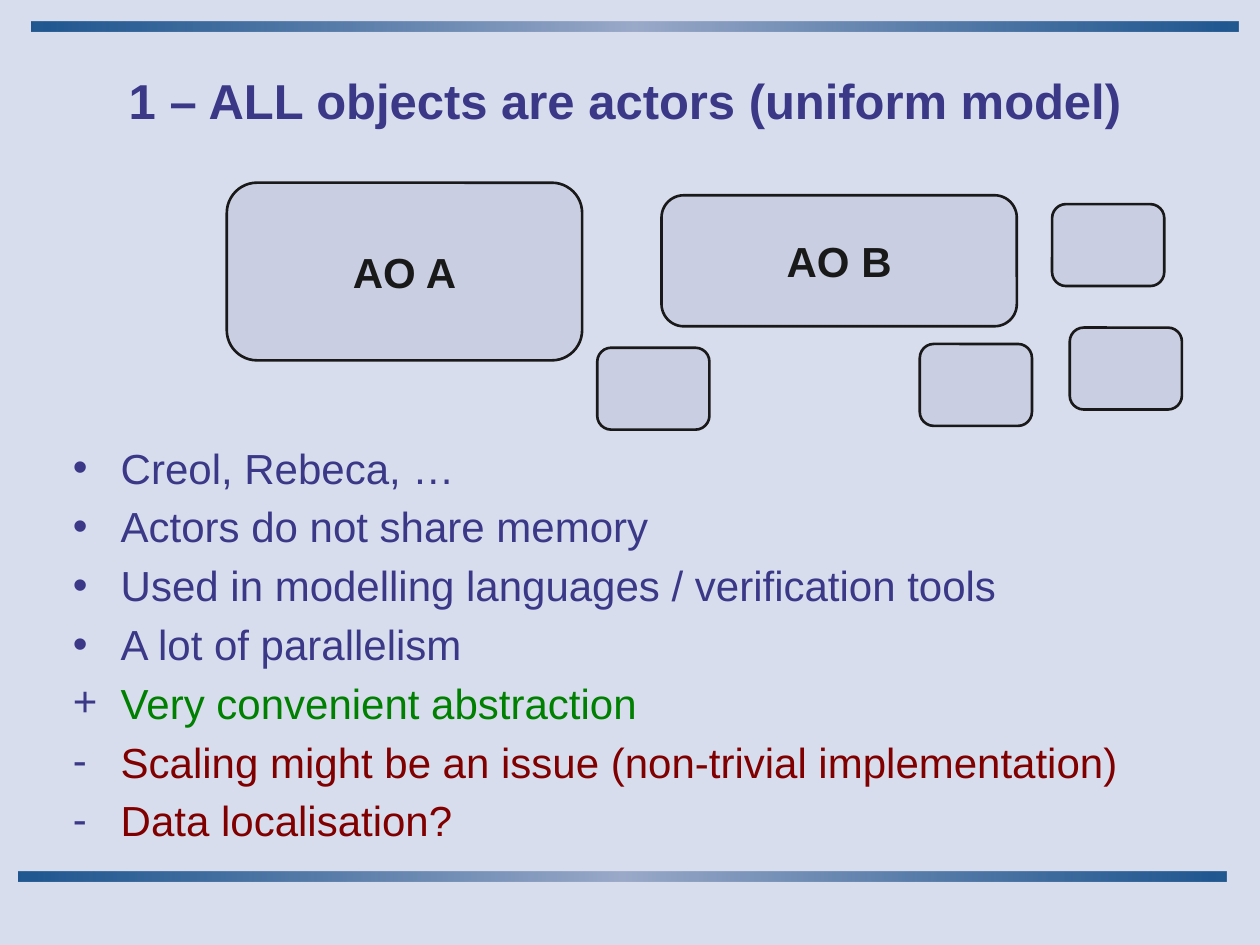
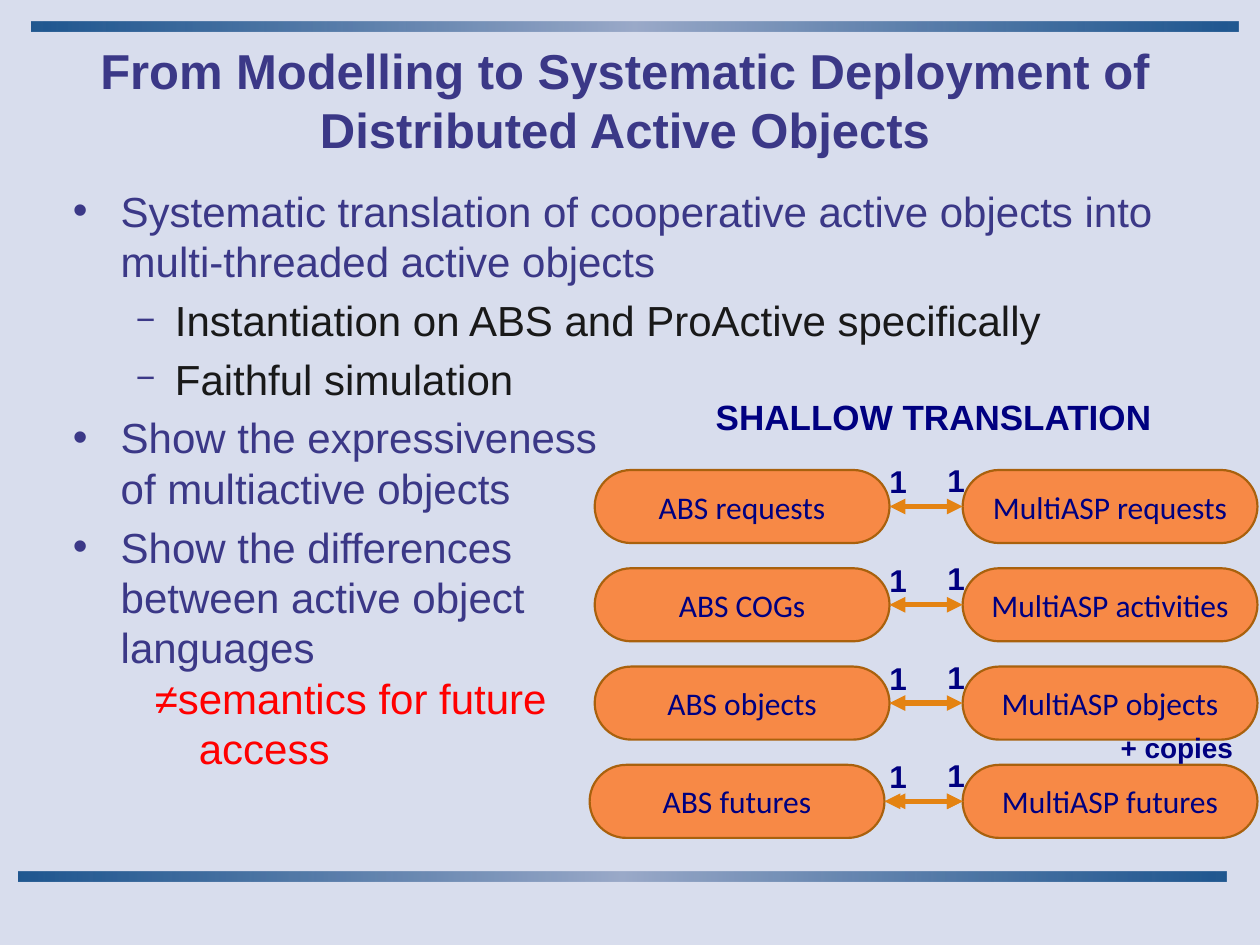
from dataclasses import dataclass

from lxml import etree
from pptx import Presentation
from pptx import util as u
from pptx.dml import color
from pptx.enum import shapes, text
from pptx.oxml import ns

Inches = u.Inches


@dataclass(frozen=True)
class Theme:
    background: str = "D8DDED"
    band_edge: str = "004080"
    band_middle: str = "9BAAC9"
    indigo: str = "3B3887"
    navy: str = "000080"
    ink: str = "191919"
    benefit: str = "008000"
    drawback: str = "800000"
    alert: str = "FF0000"
    object_fill: str = "C9CEE2"
    pill_fill: str = "F78946"
    pill_line: str = "A9610D"
    arrow: str = "E48312"
    font: str = "Arial"
    pill_font: str = "Calibri"
    title_size: int = 28
    body_size: int = 24
    heading_size: int = 20
    label_size: int = 18
    note_size: int = 16
    paragraph_gap: float = 4.8


def rgb(value):
    return color.RGBColor.from_string(value)


def add_xml(parent, tag, **attributes):
    return etree.SubElement(parent, ns.qn(tag), attributes)


class Deck:
    def __init__(self, theme):
        self.theme = theme
        self.prs = Presentation()
        self.prs.slide_width, self.prs.slide_height = Inches(10), Inches(7.5)
        self.slide = None

    def new_slide(self, title):
        t = self.theme
        self.slide = self.prs.slides.add_slide(self.prs.slide_layouts[6])
        fill = self.slide.background.fill
        fill.solid()
        fill.fore_color.rgb = rgb(t.background)
        self.band(0.25, 0.17)
        self.band(0.15, 6.92)
        self.label(title, 0.44, 0.33, 9.04, 0.92, t.title_size, t.indigo,
                   align=text.PP_ALIGN.CENTER, anchor=text.MSO_ANCHOR.MIDDLE)

    def band(self, left, top):
        t = self.theme
        band = self.slide.shapes.add_shape(
            shapes.MSO_SHAPE.RECTANGLE, Inches(left), Inches(top), Inches(9.58), Inches(0.08))
        band.shadow.inherit = False
        band.line.fill.background()
        band.fill.gradient()
        band.fill.gradient_angle = 0
        stops = band.fill._fill._gradFill.find(ns.qn("a:gsLst"))
        for stop in list(stops):
            stops.remove(stop)
        for position, value, alpha in ((0, t.band_edge, 85), (50, t.band_middle, 100),
                                       (100, t.band_edge, 85)):
            stop = add_xml(stops, "a:gs", pos=str(position * 1000))
            shade = add_xml(stop, "a:srgbClr", val=value)
            add_xml(shade, "a:alpha", val=str(alpha * 1000))

    def run(self, paragraph, words, size, value, font=None, bold=False):
        run = paragraph.add_run()
        run.text = words
        run.font.name = font or self.theme.font
        run.font.size = u.Pt(size)
        run.font.bold = bold
        run.font.color.rgb = rgb(value)

    def text_box(self, left, top, width, height):
        frame = self.slide.shapes.add_textbox(
            Inches(left), Inches(top), Inches(width), Inches(height)).text_frame
        frame.word_wrap = True
        return frame

    def label(self, words, left, top, width, height, size, value,
              align=text.PP_ALIGN.LEFT, anchor=text.MSO_ANCHOR.TOP):
        frame = self.text_box(left, top, width, height)
        frame.vertical_anchor = anchor
        frame.paragraphs[0].alignment = align
        self.run(frame.paragraphs[0], words, size, value, bold=True)

    def body(self, top, height, items):
        frame = self.text_box(0.48, top, 9.02, height)
        for index, item in enumerate(items):
            paragraph = frame.paragraphs[0] if index == 0 else frame.add_paragraph()
            self.body_item(paragraph, *item)

    def body_item(self, paragraph, bullet, words, value):
        t = self.theme
        is_sub = bullet == "−"
        margin, hang = (0.81, 0.31) if is_sub else (0.38, 0.38) if bullet else (1.0, 0.35)
        paragraph.level = int(is_sub)
        paragraph.space_before = u.Pt(t.paragraph_gap if bullet else 0)
        props = paragraph._p.get_or_add_pPr()
        props.set("marL", str(Inches(margin)))
        props.set("indent", str(-Inches(hang)))
        if bullet:
            add_xml(add_xml(props, "a:buClr"), "a:srgbClr", val=t.indigo)
            if is_sub:
                add_xml(props, "a:buSzPct", val="80000")
            add_xml(props, "a:buFont", typeface=t.font)
            add_xml(props, "a:buChar", char=bullet)
        else:
            add_xml(props, "a:buNone")
        for index, line in enumerate(words.split("\n")):
            if index:
                paragraph.add_line_break()
            self.run(paragraph, line, t.body_size, value)

    def rounded(self, left, top, width, height, fill, line, weight, corner):
        box = self.slide.shapes.add_shape(
            shapes.MSO_SHAPE.ROUNDED_RECTANGLE,
            Inches(left), Inches(top), Inches(width), Inches(height))
        box.adjustments[0] = corner
        box.shadow.inherit = False
        box.fill.solid()
        box.fill.fore_color.rgb = rgb(fill)
        box.line.color.rgb = rgb(line)
        box.line.width = u.Pt(weight)
        frame = box.text_frame
        frame.vertical_anchor = text.MSO_ANCHOR.MIDDLE
        frame.paragraphs[0].alignment = text.PP_ALIGN.CENTER
        return frame

    def active_object(self, left, top, width=0.89, height=0.65, name=None):
        t = self.theme
        frame = self.rounded(left, top, width, height, t.object_fill, t.ink, 1.5, 0.17)
        if name:
            frame.word_wrap = False
            self.run(frame.paragraphs[0], name, t.body_size, t.ink, bold=True)

    def pill(self, left, top, name):
        t = self.theme
        frame = self.rounded(left, top, 2.34, 0.58, t.pill_fill, t.pill_line, 1.25, 0.5)
        frame.word_wrap = True
        self.run(frame.paragraphs[0], name, t.label_size, t.navy, t.pill_font)

    def double_arrow(self, start, end, y):
        arrow = self.slide.shapes.add_connector(
            shapes.MSO_CONNECTOR.STRAIGHT, Inches(start), Inches(y), Inches(end), Inches(y))
        arrow.line.color.rgb = rgb(self.theme.arrow)
        arrow.line.width = u.Pt(3)
        line = arrow.line._get_or_add_ln()
        for end_tag in ("a:headEnd", "a:tailEnd"):
            add_xml(line, end_tag, type="triangle")
        add_xml(arrow._element.spPr, "a:effectLst")


def uniform_model(deck):
    t = deck.theme
    deck.new_slide("1 – ALL objects are actors (uniform model)")
    deck.body(3.46, 2.38, [
        ("•", "Creol, Rebeca, …", t.indigo),
        ("•", "Actors do not share memory", t.indigo),
        ("•", "Used in modelling languages / verification tools", t.indigo),
        ("•", "A lot of parallelism", t.indigo),
        ("+", "Very convenient abstraction", t.benefit),
        ("-", "Scaling might be an issue (non-trivial implementation)", t.drawback),
        ("-", "Data localisation?", t.drawback),
    ])
    deck.active_object(5.25, 1.55, 2.82, 1.04, "AO B")
    deck.active_object(1.8, 1.45, 2.82, 1.41, "AO A")
    for left, top in ((4.74, 2.76), (7.3, 2.73), (8.35, 1.62), (8.49, 2.6)):
        deck.active_object(left, top)


def systematic_deployment(deck):
    t = deck.theme
    center = text.PP_ALIGN.CENTER
    deck.new_slide("From Modelling to Systematic Deployment of Distributed Active Objects")
    deck.body(1.42, 5, [
        ("•", "Systematic translation of cooperative active objects into "
              "multi-threaded active objects", t.indigo),
        ("−", "Instantiation on ABS and ProActive specifically", t.ink),
        ("−", "Faithful simulation", t.ink),
        ("•", "Show the expressiveness\nof multiactive objects", t.indigo),
        ("•", "Show the differences\nbetween active object\nlanguages", t.indigo),
        (None, "≠semantics for future\naccess", t.alert),
    ])
    translations = [
        ("ABS requests", "MultiASP requests", 4.72),
        ("ABS COGs", "MultiASP activities", 4.72),
        ("ABS objects", "MultiASP objects", 4.72),
        ("ABS futures", "MultiASP futures", 4.68),
    ]
    for row, (source, target, source_left) in enumerate(translations):
        top = 3.73 + 0.78 * row
        deck.pill(source_left, top, source)
        deck.pill(7.64, top, target)
        deck.double_arrow(7.06, 7.64, top + 0.29)
        if source_left < 4.72:
            deck.double_arrow(source_left + 2.34, 7.64, top + 0.29)
        for left, rise in ((6.96, 0.11), (7.42, 0.12)):
            deck.label("1", left, top - rise, 0.3, 0.4, t.label_size, t.navy)
    deck.label("+ copies", 8.6, 5.75, 1.48, 0.37, t.note_size, t.navy, center)
    deck.label("SHALLOW TRANSLATION", 5.48, 3.09, 3.86, 0.44, t.heading_size, t.navy, center)


def main():
    deck = Deck(Theme())
    uniform_model(deck)
    systematic_deployment(deck)
    deck.prs.save("out.pptx")


if __name__ == "__main__":
    main()
